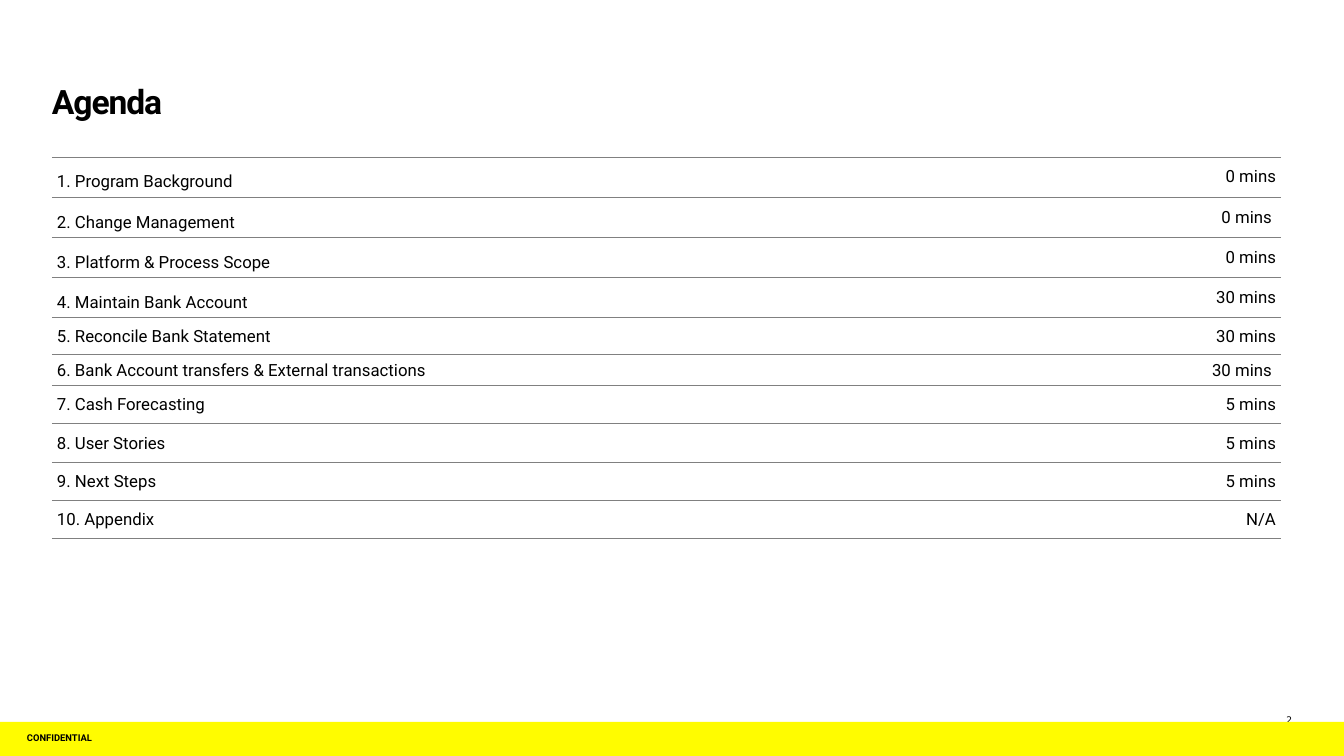
import pptx
import pptx.dml.color
import pptx.enum.shapes
import pptx.enum.text
import pptx.oxml
import pptx.oxml.ns
import pptx.util

PX = 914400 / 100.8
THEME = {
    "font": "Roboto", "number_font": "DejaVu Sans",
    "text": "000000", "rule": "808080", "bar": "FFFC00",
    "title_size": 24, "row_size": 12, "footer_size": 6.7, "number_size": 6.5,
}
ALIGN = pptx.enum.text.PP_ALIGN
ANCHOR = pptx.enum.text.MSO_ANCHOR

AGENDA = [  # topic, duration, row height, line spacing
    ("1. Program Background", "0 mins", 40, 1.5),
    ("2. Change Management", "0 mins ", 40, 1.5),
    ("3. Platform & Process Scope", "0 mins", 40, 1.5),
    ("4. Maintain Bank Account", "30 mins", 40, 1.5),
    ("5. Reconcile Bank Statement", "30 mins", 37, None),
    ("6. Bank Account transfers & External transactions", "30 mins ", 31, None),
    ("7. Cash Forecasting", "5 mins", 38, None),
    ("8. User Stories", "5 mins", 39, None),
    ("9. Next Steps", "5 mins", 38, None),
    ("10. Appendix", "N/A", 38, None),
]


def px(*lengths):
    """Turn pixel lengths into a list of EMU lengths."""
    return [pptx.util.Emu(round(length * PX)) for length in lengths]


def write(frame, text, size, margins, anchor, align=ALIGN.LEFT, bold=False, font=THEME["font"]):
    """Fill a text frame with one paragraph; margins are left, top, right, bottom."""
    frame.word_wrap = True
    frame.vertical_anchor = anchor
    frame.margin_left, frame.margin_top, frame.margin_right, frame.margin_bottom = px(*margins)
    paragraph = frame.paragraphs[0]
    paragraph.text = text
    paragraph.alignment = align
    paragraph.font.name = font
    paragraph.font.size = pptx.util.Pt(size)
    paragraph.font.bold = bold
    paragraph.font.color.rgb = pptx.dml.color.RGBColor.from_string(THEME["text"])
    return paragraph


presentation = pptx.Presentation()
presentation.slide_width, presentation.slide_height = px(1344, 756)
slide = presentation.slides.add_slide(presentation.slide_layouts[5])

# Title
title = slide.shapes.title
title.left, title.top, title.width, title.height = px(52, 44, 1241, 77)
title.text_frame.auto_size = pptx.enum.text.MSO_AUTO_SIZE.NONE
heading = write(title.text_frame, "Agenda", THEME["title_size"], (0, 5, 0, 0), ANCHOR.BOTTOM, bold=True)
heading.runs[0].font._element.set("spc", "-80")

# Footer
number = slide.shapes.add_textbox(*px(1258, 714, 34, 11))
number_line = write(number.text_frame, "2", THEME["number_size"], (0, 0, 0, 0), ANCHOR.TOP,
                    ALIGN.RIGHT, font=THEME["number_font"])
number_line.space_before = pptx.util.Pt(8)

bar = slide.shapes.add_shape(pptx.enum.shapes.MSO_SHAPE.RECTANGLE, *px(0, 722, 1344, 37))
bar.shadow.inherit = False
bar.fill.solid()
bar.fill.fore_color.rgb = pptx.dml.color.RGBColor.from_string(THEME["bar"])
bar.line.fill.background()

label = slide.shapes.add_textbox(*px(24, 722, 182, 34))
label_line = write(label.text_frame, "CONFIDENTIAL", THEME["footer_size"], (3, 3, 3, 3),
                   ANCHOR.MIDDLE, bold=True)
label_line.line_spacing = 0.8

# Agenda table
table_height = sum(height for _, _, height, _ in AGENDA)
table = slide.shapes.add_table(len(AGENDA), 2, *px(52, 157, 1229, table_height)).table
table.first_row = False
table.horz_banding = False
table.columns[0].width, table.columns[1].width = px(608, 621)

no_line = "<a:noFill/>"
rule = f'<a:solidFill><a:srgbClr val="{THEME["rule"]}"/></a:solidFill>'
borders = {"lnL": no_line, "lnR": no_line, "lnT": rule, "lnB": rule}

for row, (topic, duration, height, spacing) in enumerate(AGENDA):
    table.rows[row].height = px(height)[0]
    for column, text in enumerate((topic, duration)):
        cell = table.cell(row, column)
        cell.vertical_anchor = ANCHOR.MIDDLE
        cell.margin_left, cell.margin_top, cell.margin_right, cell.margin_bottom = px(5, 5, 5, 5)
        paragraph = cell.text_frame.paragraphs[0]
        paragraph.text = text
        paragraph.font.name = THEME["font"]
        paragraph.font.size = pptx.util.Pt(THEME["row_size"])
        paragraph.font.color.rgb = pptx.dml.color.RGBColor.from_string(THEME["text"])
        if column == 0:
            paragraph.line_spacing = spacing
        else:
            paragraph.alignment = ALIGN.RIGHT
            paragraph.level = 1
            paragraph.space_before = paragraph.space_after = pptx.util.Pt(6)
        properties = cell._tc.get_or_add_tcPr()
        for side, paint in borders.items():
            properties.append(pptx.oxml.parse_xml(
                f'<a:{side} {pptx.oxml.ns.nsdecls("a")} w="6350">{paint}</a:{side}>'))
        cell.fill.background()

presentation.save("out.pptx")
